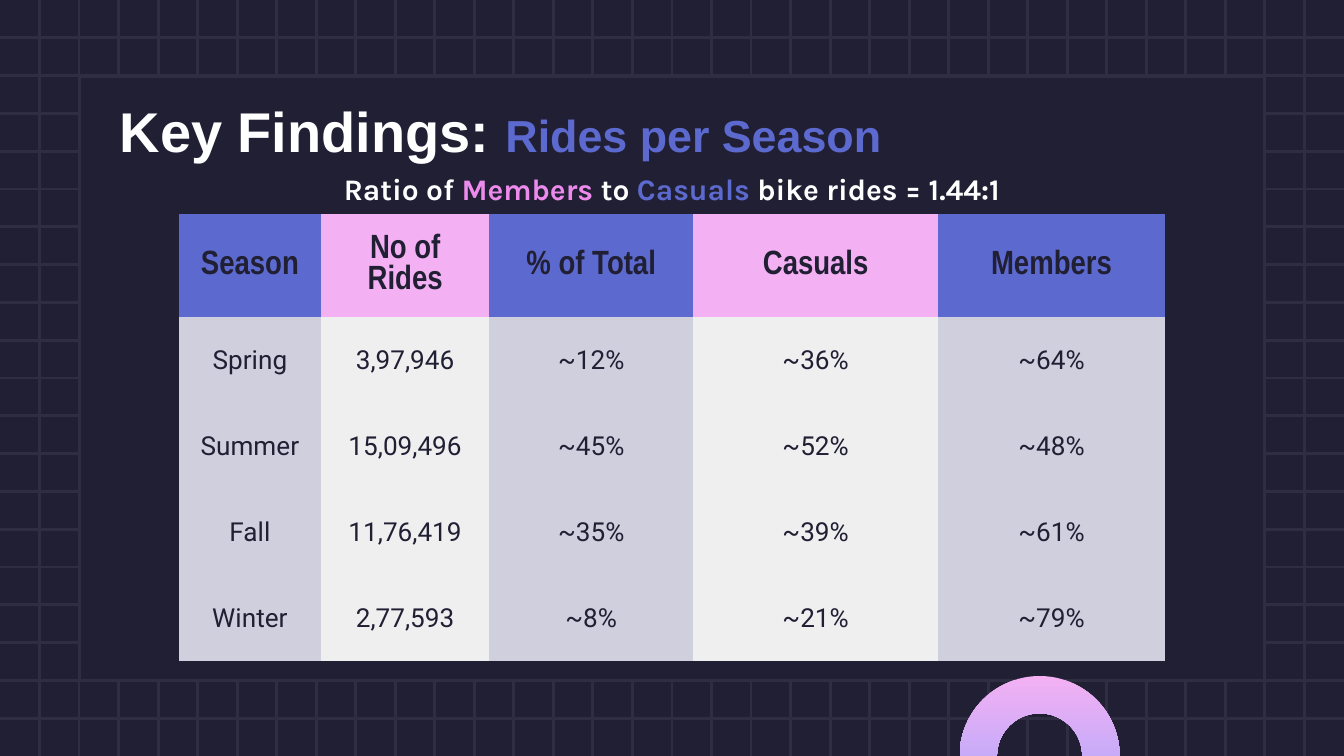
"""Build the Key Findings slide about rides per season."""
from pptx import Presentation
from pptx.dml.color import RGBColor
from pptx.enum.shapes import MSO_CONNECTOR, MSO_SHAPE
from pptx.enum.text import MSO_ANCHOR, PP_ALIGN
from pptx.oxml.ns import qn
from pptx.util import Inches, Pt
from lxml import etree

STRAIGHT = MSO_CONNECTOR.STRAIGHT
RECTANGLE = MSO_SHAPE.RECTANGLE
BLOCK_ARC = MSO_SHAPE.BLOCK_ARC
TOP = MSO_ANCHOR.TOP
MIDDLE = MSO_ANCHOR.MIDDLE
LEFT = PP_ALIGN.LEFT
CENTER = PP_ALIGN.CENTER

NAVY, GRID, WHITE = "211F34", "2E2D42", "FFFFFF"
BLUE, PINK, LAVENDER = "5C6ACF", "F3B0F3", "9AA6FF"
NO_GRID_STYLE = "{2D5ABB26-0587-4C30-8999-92F81FD0307C}"


def rgb(value):
    """Turn a hex string into a colour."""
    return RGBColor.from_string(value)


def add_text(paragraph, text, size=16, font="Arial", color=WHITE, bold=True, align=LEFT):
    """Add a formatted run to a paragraph."""
    paragraph.alignment = align
    run = paragraph.add_run()
    run.text = text
    run.font.size = Pt(size)
    run.font.name = font
    run.font.bold = bold
    run.font.color.rgb = rgb(color)


presentation = Presentation()
presentation.slide_width = Inches(10)
presentation.slide_height = Inches(5.625)
slide = presentation.slides.add_slide(presentation.slide_layouts[5])
slide.background.fill.solid()
slide.background.fill.fore_color.rgb = rgb(NAVY)
shapes = slide.shapes

row_step, column_step = 5.625 / 20, 10 / 34
grid_lines = [(0, i * row_step, 10, i * row_step) for i in range(1, 20)]
grid_lines += [(i * column_step, 0, i * column_step, 5.625) for i in range(1, 34)]
for ends in grid_lines:
    line = shapes.add_connector(STRAIGHT, *[Inches(end) for end in ends])
    line.line.color.rgb = rgb(GRID)
    line.line.width = Pt(1.5)
    etree.SubElement(line._element.spPr, qn("a:effectLst"))

panel = shapes.add_shape(RECTANGLE, Inches(0.59), Inches(0.57), Inches(8.82), Inches(4.49))
panel.shadow.inherit = False
panel.fill.solid()
panel.fill.fore_color.rgb = rgb(NAVY)
panel.line.color.rgb = rgb(GRID)
panel.line.width = Pt(1.5)

arc = shapes.add_shape(BLOCK_ARC, Inches(7.14), Inches(5.03), Inches(1.19), Inches(1.19))
arc.shadow.inherit = False
arc.adjustments[0] = 108
arc.adjustments[1] = 0
arc.adjustments[2] = 0.233
arc.line.fill.background()
arc.fill.gradient()
arc.fill.gradient_angle = 270
for stop, color in zip(arc.fill.gradient_stops, (PINK, LAVENDER)):
    stop.color.rgb = rgb(color)

rows = [
    ("Season", "No of Rides", "% of Total", "Casuals", "Members"),
    ("Spring", "3,97,946", "~12%", "~36%", "~64%"),
    ("Summer", "15,09,496", "~45%", "~52%", "~48%"),
    ("Fall", "11,76,419", "~35%", "~39%", "~61%"),
    ("Winter", "2,77,593", "~8%", "~21%", "~79%"),
]
column_widths = [1.06, 1.25, 1.52, 1.82, 1.69]
row_heights = [0.77] + [0.64] * 4
frame = shapes.add_table(len(rows), len(column_widths), Inches(1.33), Inches(1.59),
                         Inches(sum(column_widths)), Inches(sum(row_heights)))
table = frame.table
table.horz_banding = False
table._tbl.tblPr.find(qn("a:tableStyleId")).text = NO_GRID_STYLE
for column, width in zip(table.columns, column_widths):
    column.width = Inches(width)
for row_index, (values, height) in enumerate(zip(rows, row_heights)):
    table.rows[row_index].height = Inches(height)
    header = row_index == 0
    fills = (BLUE, PINK) if header else ("CFCFDE", "EFEFEF")
    for column_index, value in enumerate(values):
        cell = table.cell(row_index, column_index)
        cell.fill.solid()
        cell.fill.fore_color.rgb = rgb(fills[column_index % 2])
        cell.vertical_anchor = MIDDLE
        cell.margin_left = cell.margin_right = Inches(0.1)
        cell.margin_top = cell.margin_bottom = Inches(0.1)
        add_text(cell.text_frame.paragraphs[0], value, size=18 if header else 14,
                 font="Arial Narrow" if header else "Roboto", color=NAVY,
                 bold=header, align=CENTER)

title = shapes.title
shapes._spTree.append(title._element)
title.left, title.top = Inches(0.79), Inches(0.57)
title.width, title.height = Inches(8.43), Inches(0.63)
title.text_frame.vertical_anchor = TOP
title.text_frame.margin_top = Inches(0.15)
heading = title.text_frame.paragraphs[0]
add_text(heading, "Key Findings: ", size=30)
add_text(heading, "Rides per Season", size=24, color=BLUE)

ratio = shapes.add_textbox(Inches(2.46), Inches(1.22), Inches(5.47), Inches(0.37))
ratio.text_frame.word_wrap = True
for text, color in [("Ratio of ", WHITE), ("Members", "ED8BED"), (" to ", WHITE),
                    ("Casuals", BLUE), (" bike rides = 1.44:1", WHITE)]:
    add_text(ratio.text_frame.paragraphs[0], text, font="Karla", color=color)

presentation.save("out.pptx")
